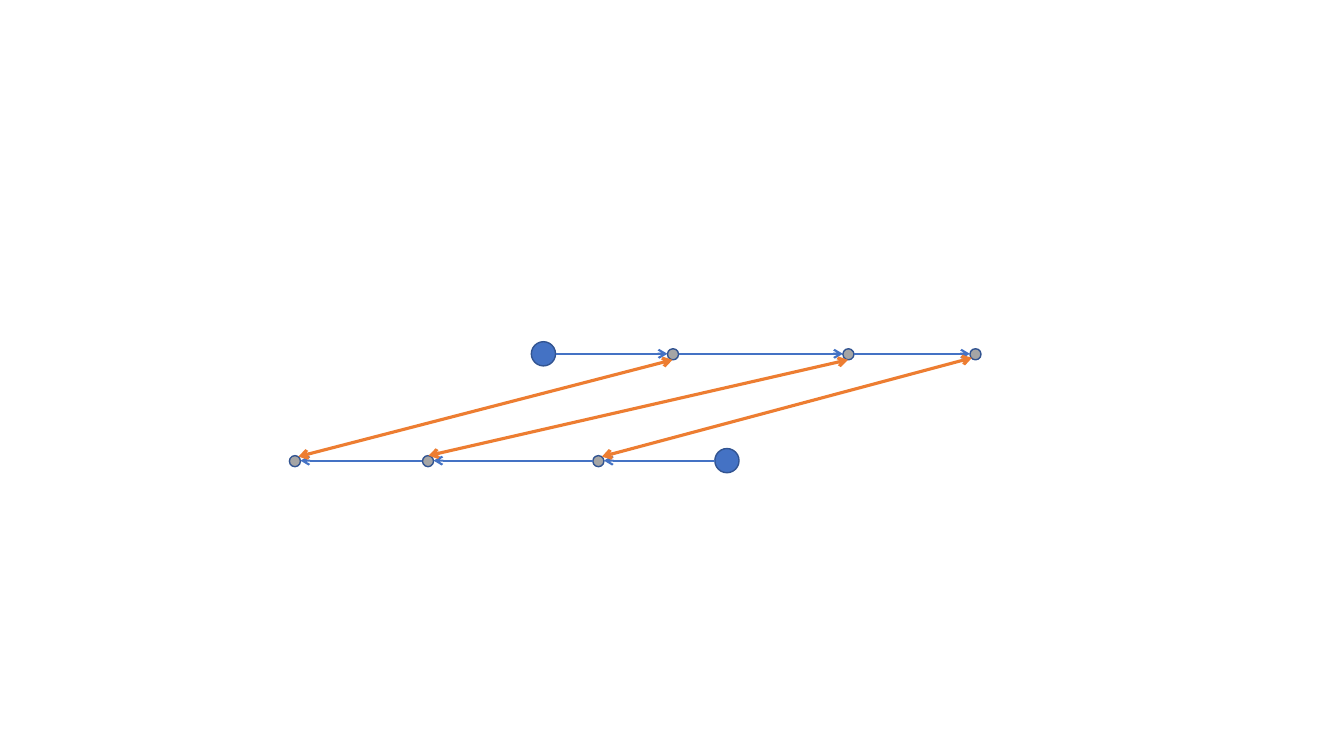
from dataclasses import dataclass
from itertools import pairwise

from lxml.etree import SubElement
from pptx import Presentation
from pptx.dml.color import RGBColor
from pptx.enum.shapes import MSO_CONNECTOR, MSO_SHAPE
from pptx.oxml.ns import qn
from pptx.util import Pt

SCALE = 9144


@dataclass(frozen=True)
class Theme:
    """Colours, line widths in points and node sizes in px."""
    blue: str = "4472C4"
    grey: str = "A5A5A5"
    edge: str = "325491"
    orange: str = "ED7D31"
    rim: float = 1
    thin: float = 1.5
    thick: float = 2.25
    big: int = 24
    small: int = 11


class Canvas:
    """Draws nodes and arrows on one slide in a given theme."""

    def __init__(self, slide, theme):
        self.shapes = slide.shapes
        self.theme = theme

    def stroke(self, line, color, width):
        """Set the colour and width of a line."""
        line.color.rgb = RGBColor.from_string(color)
        line.width = Pt(width)

    def node(self, left, mid, size, color):
        """Draw a circle from its left edge and its middle height."""
        top = mid - size // 2
        box = [v * SCALE for v in (left, top, size, size)]
        dot = self.shapes.add_shape(MSO_SHAPE.OVAL, *box)
        dot.shadow.inherit = False
        dot.fill.solid()
        dot.fill.fore_color.rgb = RGBColor.from_string(color)
        self.stroke(dot.line, self.theme.edge, self.theme.rim)

    def arrow(self, start, end, color, width, both=False):
        """Draw an arrow with a head at its end, or at both ends."""
        ends = [v * SCALE for v in (*start, *end)]
        link = self.shapes.add_connector(MSO_CONNECTOR.STRAIGHT, *ends)
        self.stroke(link.line, color, width)
        line = link.line._get_or_add_ln()
        for tag in ("a:headEnd", "a:tailEnd") if both else ("a:tailEnd",):
            SubElement(line, qn(tag), type="arrow")
        SubElement(link._element.spPr, qn("a:effectLst"))

    def nodes(self, lefts, mid):
        """Draw a large first node and the small nodes after it."""
        look = self.theme
        first, *rest = lefts
        self.node(first, mid, look.big, look.blue)
        for left in rest:
            self.node(left, mid, look.small, look.grey)

    def links(self, lefts, mid):
        """Join each node of a chain to the next, edge to edge."""
        look = self.theme
        sizes = [look.big] + [look.small] * (len(lefts) - 1)
        for (a, wide), (b, slim) in pairwise(zip(lefts, sizes)):
            start, end = (a + wide, b) if a < b else (a, b + slim)
            self.arrow((start, mid), (end, mid), look.blue, look.thin)


def main():
    """Build the two linked chains and save the deck."""
    deck = Presentation()
    deck.slide_width, deck.slide_height = 1333 * SCALE, 750 * SCALE
    look = Theme()
    art = Canvas(deck.slides.add_slide(deck.slide_layouts[6]), look)
    chains = [
        ((527, 662, 836, 962), 351),
        ((709, 588, 419, 287), 457),
    ]
    pairs = [
        ((964, 355), (597, 453)),
        ((841, 357), (425, 452)),
        ((667, 357), (296, 453)),
    ]
    for chain in chains:
        art.nodes(*chain)
    for chain in chains:
        art.links(*chain)
    for start, end in pairs:
        art.arrow(start, end, look.orange, look.thick, both=True)
    deck.save("out.pptx")


if __name__ == "__main__":
    main()
